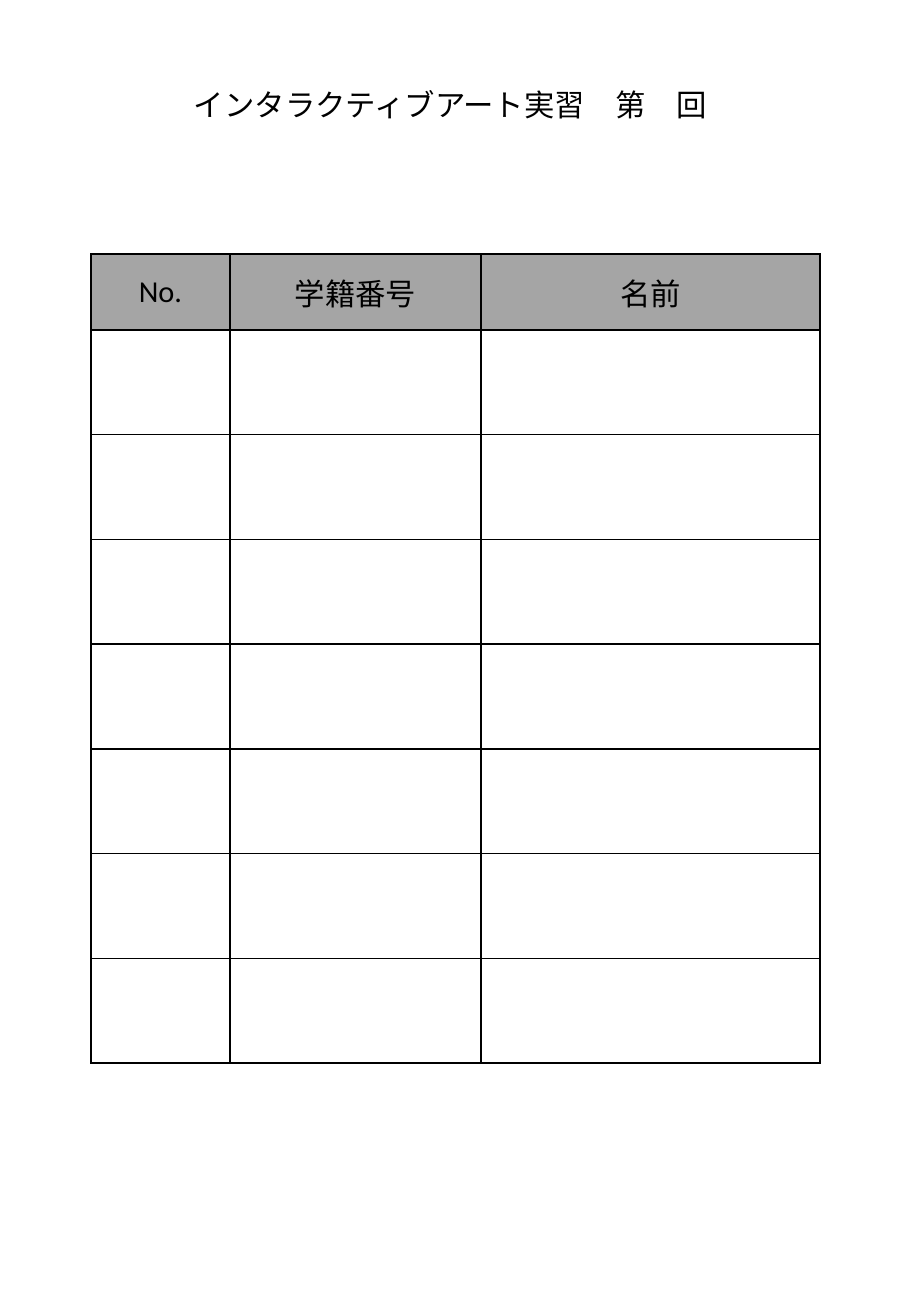
from lxml.etree import SubElement
from pptx import Presentation
from pptx.dml.color import RGBColor
from pptx.enum.text import MSO_ANCHOR, PP_ALIGN
from pptx.oxml.ns import qn
from pptx.util import Emu, Pt

BLACK = RGBColor(0x00, 0x00, 0x00)
WHITE = RGBColor(0xFF, 0xFF, 0xFF)
GRAY = RGBColor(0xA5, 0xA5, 0xA5)
FONT = "Calibri"
EMU_PER_PX = 914400 / 121.5

HEADINGS = ["No.", "学籍番号", "名前"]
COL_WIDTHS = [139, 251, 339]
HEADER_HEIGHT = 76
BLANK_ROWS = 7


def px(n):
    return Emu(round(n * EMU_PER_PX))


def write(tf, text, size=18, color=BLACK, align=PP_ALIGN.LEFT):
    p = tf.paragraphs[0]
    p.alignment = align
    r = p.add_run()
    r.text = text
    r.font.name = FONT
    r.font.size = Pt(size)
    r.font.color.rgb = color


def add_borders(cell, color=BLACK, width=1):
    tcPr = cell._tc.get_or_add_tcPr()
    for i, side in enumerate(("lnL", "lnR", "lnT", "lnB")):
        ln = tcPr.makeelement(qn(f"a:{side}"), {"w": str(Pt(width))})
        fill = SubElement(ln, qn("a:solidFill"))
        SubElement(fill, qn("a:srgbClr"), val=str(color))
        tcPr.insert(i, ln)  # borders come before the cell fill


def add_title(s, x, y, w, h):
    tf = s.shapes.add_textbox(px(x), px(y), px(w), px(h)).text_frame
    tf.word_wrap = False
    write(tf, "インタラクティブアート実習　第　回")


def add_roster(s, x, y, w, h):
    table = s.shapes.add_table(BLANK_ROWS + 1, len(HEADINGS),
                               px(x), px(y), px(w), px(h)).table
    # Column widths share the box; blank rows split the height below the header
    for col, width in zip(table.columns, COL_WIDTHS):
        col.width = px(w * width / sum(COL_WIDTHS))
    for i, row in enumerate(table.rows):
        row.height = px((h - HEADER_HEIGHT) / BLANK_ROWS if i else HEADER_HEIGHT)
        for cell in row.cells:
            cell.fill.solid()
            cell.fill.fore_color.rgb = WHITE if i else GRAY
            add_borders(cell)
    # Header text
    for cell, heading in zip(table.rows[0].cells, HEADINGS):
        cell.vertical_anchor = MSO_ANCHOR.MIDDLE
        write(cell.text_frame, heading, align=PP_ALIGN.CENTER)


prs = Presentation()
prs.slide_width, prs.slide_height = px(911), px(1316)
s = prs.slides.add_slide(prs.slide_layouts[6])
add_roster(s, 91, 254, 729, 809)
add_title(s, 182, 80, 546, 49)
prs.save("out.pptx")
